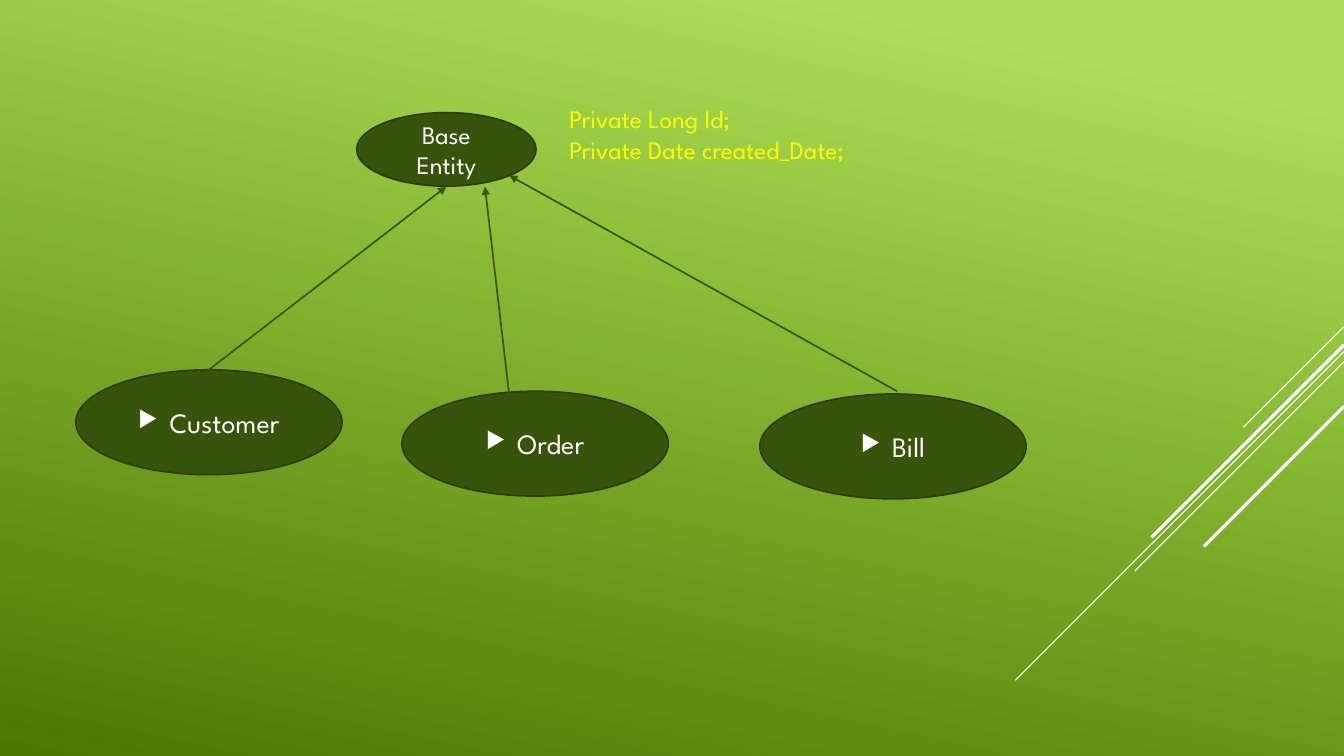
"""Build a slide showing three entities that inherit from a base entity."""
from dataclasses import dataclass

from lxml.etree import SubElement
from pptx import Presentation
from pptx.dml.color import RGBColor
from pptx.enum.shapes import MSO_CONNECTOR, MSO_SHAPE
from pptx.enum.text import MSO_ANCHOR, PP_ALIGN
from pptx.oxml.ns import qn
from pptx.util import Cm, Pt

BASE_ENTITY = ("Base Entity", (8.99, 2.84))
BASE_SIZE = (4.52, 1.85)
CHILD_ENTITIES = [
    ("Customer", (1.91, 9.32)),
    ("Bill", (19.15, 9.93)),
    ("Order", (10.13, 9.86)),
]
CHILD_SIZE = (6.71, 2.64)
INHERITANCE_ARROWS = [
    ((5.26, 9.32), (11.25, 4.7)),
    ((12.83, 9.93), (12.22, 4.7)),
    ((22.61, 9.86), (12.83, 4.42)),
]
BASE_FIELDS = ["Private Long Id;", "Private Date created_Date;"]
FIELDS_BOX = (12.83, 2.49, 16.94, 1.8)
DIAGONAL_STREAKS = [
    (8.23, 2.54, 0.75),
    (8.86, 8.28, 0.75),
    (9.12, 5.27, 0.75),
    (8.69, 4.85, 2.25),
    (10.24, 3.53, 2.25),
]
SLIDE_WIDTH, SLIDE_HEIGHT = 33.87, 19.05


@dataclass(frozen=True)
class Theme:
    """Colours, font and sizes of the slide."""
    font: str = "League Spartan"
    light: str = "ACDF55"
    dark: str = "4C7800"
    fill: str = "38540A"
    outline: str = "2E3E07"
    arrow: str = "3E540A"
    text: str = "FFFFFF"
    fields: str = "FFFF00"
    small: float = 18
    large: float = 20
    line: float = 1.25


THEME = Theme()


def paint_background(slide):
    """Fill the background with a slanted green gradient."""
    fill = slide.background.fill
    fill.gradient()
    fill.gradient_angle = 258
    stops = ((0.1, THEME.light), (1, THEME.dark))
    for stop, (position, colour) in zip(fill.gradient_stops, stops):
        stop.position = position
        stop.color.rgb = RGBColor.from_string(colour)


def add_line(slide, start, end, colour, width, arrow=False):
    """Draw a straight line, optionally with an arrowhead at its end."""
    ends = [Cm(value) for value in (*start, *end)]
    connector = slide.shapes.add_connector(MSO_CONNECTOR.STRAIGHT, *ends)
    connector.line.color.rgb = RGBColor.from_string(colour)
    connector.line.width = Pt(width)
    if arrow:
        SubElement(connector.line._get_or_add_ln(), qn("a:tailEnd"), type="triangle")
    SubElement(connector._element.spPr, qn("a:effectLst"))


def format_runs(paragraph, size, colour):
    """Apply the theme font to every run of a paragraph."""
    for run in paragraph.runs:
        run.font.name = THEME.font
        run.font.size = Pt(size)
        run.font.color.rgb = RGBColor.from_string(colour)


def add_bullet(paragraph):
    """Give a paragraph a hanging triangle bullet."""
    paragraph.space_before = Pt(4)
    paragraph.space_after = Pt(6)
    properties = paragraph._p.get_or_add_pPr()
    properties.set("marL", str(Cm(0.79)))
    properties.set("indent", str(-Cm(0.79)))
    colour = SubElement(properties, qn("a:buClr"))
    SubElement(colour, qn("a:srgbClr"), val=THEME.text)
    SubElement(properties, qn("a:buSzPct"), val="80000")
    SubElement(properties, qn("a:buChar"), char="▶")


def add_entity(slide, name, corner, size, type_size, bulleted=False):
    """Draw an entity as a labelled ellipse."""
    box = [Cm(value) for value in (*corner, *size)]
    shape = slide.shapes.add_shape(MSO_SHAPE.OVAL, *box)
    shape.shadow.inherit = False
    shape.fill.solid()
    shape.fill.fore_color.rgb = RGBColor.from_string(THEME.fill)
    shape.line.color.rgb = RGBColor.from_string(THEME.outline)
    shape.line.width = Pt(THEME.line)
    text_frame = shape.text_frame
    text_frame.word_wrap = True
    text_frame.vertical_anchor = MSO_ANCHOR.MIDDLE
    text_frame.text = name
    paragraph = text_frame.paragraphs[0]
    paragraph.alignment = PP_ALIGN.CENTER
    format_runs(paragraph, type_size, THEME.text)
    if bulleted:
        add_bullet(paragraph)


def add_fields(slide):
    """List the fields of the base entity."""
    text_box = slide.shapes.add_textbox(*[Cm(value) for value in FIELDS_BOX])
    text_frame = text_box.text_frame
    text_frame.word_wrap = True
    text_frame.text = "\n".join(BASE_FIELDS)
    for paragraph in text_frame.paragraphs:
        paragraph.level = 1
        paragraph._p.get_or_add_pPr().set("marL", str(Cm(1.27)))
        format_runs(paragraph, THEME.small, THEME.fields)


presentation = Presentation()
presentation.slide_width = Cm(SLIDE_WIDTH)
presentation.slide_height = Cm(SLIDE_HEIGHT)
slide = presentation.slides.add_slide(presentation.slide_layouts[6])

paint_background(slide)
for top, run, width in DIAGONAL_STREAKS:
    add_line(slide, (SLIDE_WIDTH, top), (SLIDE_WIDTH - run, top + run), THEME.text, width)
add_entity(slide, *BASE_ENTITY, BASE_SIZE, THEME.small)
for name, corner in CHILD_ENTITIES:
    add_entity(slide, name, corner, CHILD_SIZE, THEME.large, bulleted=True)
for start, end in INHERITANCE_ARROWS:
    add_line(slide, start, end, THEME.arrow, THEME.line, arrow=True)
add_fields(slide)

presentation.save("out.pptx")
